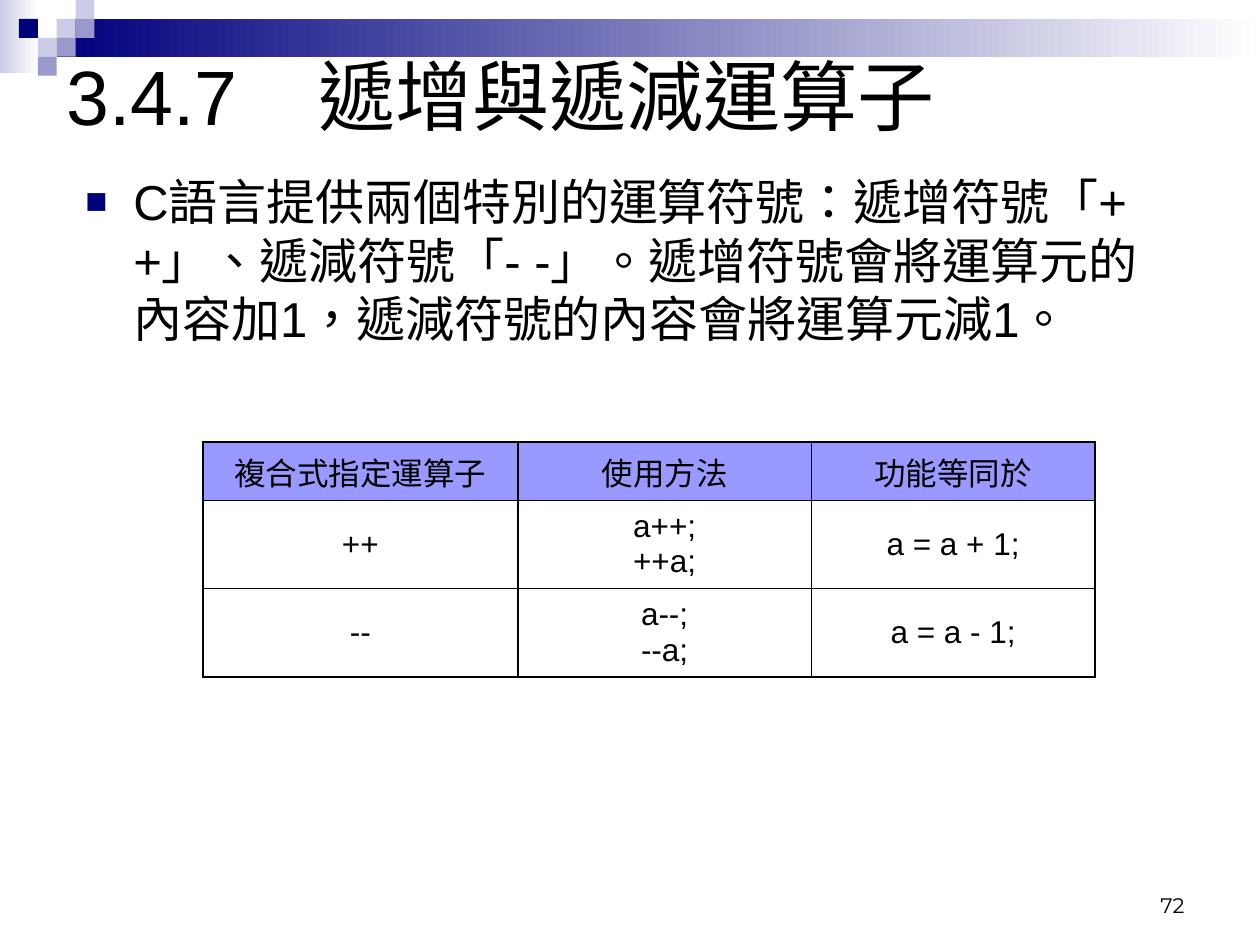
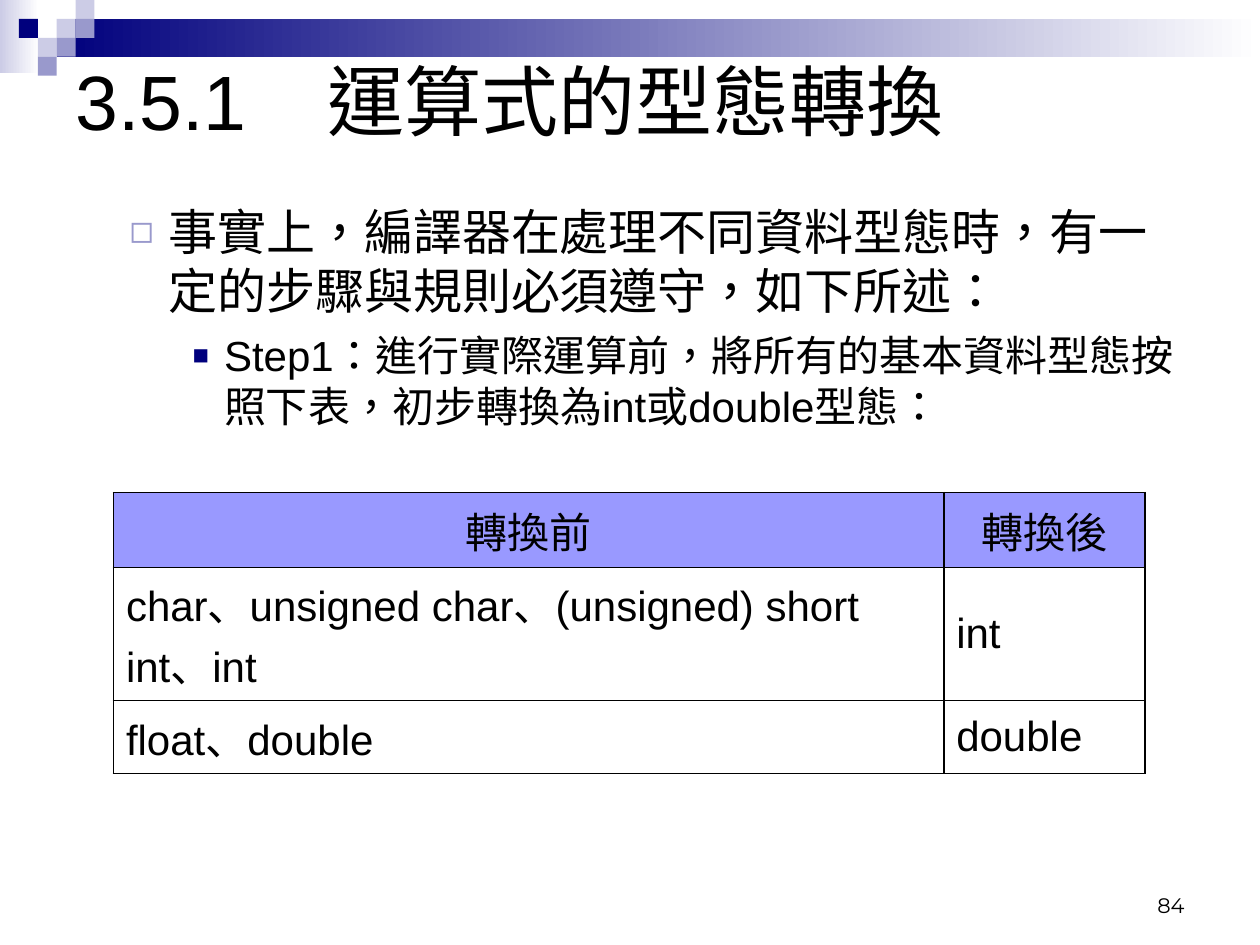
from dataclasses import dataclass

from lxml.etree import SubElement
from pptx import Presentation
from pptx.dml.color import RGBColor as RGB
from pptx.enum.lang import MSO_LANGUAGE_ID as LANG
from pptx.enum.shapes import MSO_SHAPE as SHAPE
from pptx.enum.text import MSO_ANCHOR as ANCHOR, PP_ALIGN as ALIGN
from pptx.oxml.ns import qn
from pptx.util import Inches, Pt


@dataclass(frozen=True)
class Theme:
    navy: str = "00007D"
    lilac: str = "9999CC"
    pale: str = "CCCCE6"
    white: str = "FFFFFF"
    ink: str = "000000"
    header: str = "9999FF"
    font: str = "Arial"
    number_font: str = "Montserrat"
    title: int = 44
    point: int = 28
    step: int = 24
    number: int = 12
    thick: float = 1.08
    thin: float = 0.45


THEME = Theme()
UNIT = 0.15  # side of one mosaic square
TITLE_TAB = 2

# column, row, colour of each mosaic square
MOSAIC = [
    (3, 1, THEME.pale), (4, 0, THEME.pale), (4, 1, THEME.lilac),
    (2, 2, THEME.pale), (1, 1, THEME.navy), (3, 2, THEME.lilac),
    (2, 3, THEME.lilac),
]
# left, top, width, height, colour that fades to white
FADES = [
    (0, 0, 0.31, 0.58, THEME.pale),
    (3 * UNIT, UNIT, 10 - 3 * UNIT, 2 * UNIT, THEME.navy),
]
# size, left margin, hanging indent, bullet, bullet colour, bullet percent
LEVELS = [
    (THEME.point, 0.38, 0.38, "■", THEME.navy, 75),
    (THEME.point, 0.81, 0.31, "◻", THEME.lilac, 80),
    (THEME.step, 1.25, 0.25, "■", THEME.navy, 65),
]

LESSONS = [
    dict(
        title="3.4.7\t遞增與遞減運算子",
        title_at=(0.43, 0, 9, 1.5),
        body_at=(0.58, 1.31, 8.92, 1.81),
        body=[(0, "C語言提供兩個特別的運算符號：遞增符號「++」、遞減符號「- -」。"
                  "遞增符號會將運算元的內容加1，遞減符號的內容會將運算元減1。")],
        table_at=(1.61, 3.51),
        columns=(2.5, 2.33, 2.25),
        rows=(0.46, 0.7, 0.7),
        table_size=18,
        cell_align=ALIGN.CENTER,
        cells=[
            ("複合式指定運算子", "使用方法", "功能等同於"),
            ("++", "a++;\n++a;", "a = a + 1;"),
            ("--", "a--;\n--a;", "a = a - 1;"),
        ],
        number="72",
    ),
    dict(
        title="3.5.1\t運算式的型態轉換",
        title_at=(0.5, 0.33, 8.75, 0.92),
        body_at=(0.43, 1.55, 9, 2.2),
        body=[
            (1, "事實上，編譯器在處理不同資料型態時，有一定的步驟與規則必須遵守，如下所述："),
            (2, "Step1：進行實際運算前，將所有的基本資料型態按照下表，"
                "初步轉換為int或double型態："),
        ],
        table_at=(0.9, 3.91),
        columns=(6.59, 1.6),
        rows=(0.59, 1.06, 0.58),
        table_size=24,
        cell_align=ALIGN.LEFT,
        cells=[
            ("轉換前", "轉換後"),
            ("char、unsigned char、(unsigned) short int、int", "int"),
            ("float、double", "double"),
        ],
        number="84",
    ),
]


def write(paragraph, text, size, align=ALIGN.LEFT, font=THEME.font,
          language=LANG.TRADITIONAL_CHINESE):
    paragraph.text = text
    paragraph.alignment = align
    paragraph.font.size = Pt(size)
    paragraph.font.name = font
    paragraph.font.color.rgb = RGB.from_string(THEME.ink)
    paragraph.font.language_id = language


def add_frame(slide, place, anchor):
    """Add a wrapping text box and return its text frame."""
    frame = slide.shapes.add_textbox(*map(Inches, place)).text_frame
    frame.word_wrap = True
    frame.vertical_anchor = anchor
    return frame


deck = Presentation()
deck.slide_width, deck.slide_height = Inches(10), Inches(7.5)

for lesson in LESSONS:
    slide = deck.slides.add_slide(deck.slide_layouts[6])

    # Top band and mosaic
    squares = [(col * UNIT, row * UNIT, UNIT, UNIT, colour)
               for col, row, colour in MOSAIC]
    for *place, colour in FADES + squares:
        tile = slide.shapes.add_shape(SHAPE.RECTANGLE, *map(Inches, place))
        tile.shadow.inherit = False
        tile.line.fill.background()
        if (*place, colour) in FADES:
            tile.fill.gradient()
            tile.fill.gradient_angle = 0
            for stop, shade in zip(tile.fill.gradient_stops, (colour, THEME.white)):
                stop.color.rgb = RGB.from_string(shade)
        else:
            tile.fill.solid()
            tile.fill.fore_color.rgb = RGB.from_string(colour)

    # Title, with the heading set off by a tab
    heading = add_frame(slide, lesson["title_at"], ANCHOR.MIDDLE).paragraphs[0]
    tabs = SubElement(heading._p.get_or_add_pPr(), qn("a:tabLst"))
    SubElement(tabs, qn("a:tab"), pos=str(Inches(TITLE_TAB)), algn="l")
    write(heading, lesson["title"], THEME.title)

    # Bulleted text
    body = add_frame(slide, lesson["body_at"], ANCHOR.TOP)
    for index, (level, text) in enumerate(lesson["body"]):
        size, margin, hang, bullet, colour, percent = LEVELS[level]
        point = body.add_paragraph() if index else body.paragraphs[0]
        point.level = level
        if index:
            point.space_before = Pt(6)
        props = point._p.get_or_add_pPr()
        props.set("marL", str(Inches(margin)))
        props.set("indent", str(-Inches(hang)))
        SubElement(SubElement(props, qn("a:buClr")), qn("a:srgbClr"), val=colour)
        SubElement(props, qn("a:buSzPct"), val=str(percent * 1000))
        SubElement(props, qn("a:buFont"), typeface=THEME.font)
        SubElement(props, qn("a:buChar"), char=bullet)
        write(point, text, size)

    # Operator or conversion table
    columns, rows = lesson["columns"], lesson["rows"]
    extent = (*lesson["table_at"], sum(columns), sum(rows))
    table = slide.shapes.add_table(len(rows), len(columns), *map(Inches, extent)).table
    table.first_row = table.horz_banding = False
    for column, width in zip(table.columns, columns):
        column.width = Inches(width)
    for row, height in zip(table.rows, rows):
        row.height = Inches(height)
    last = len(rows) - 1
    for r, texts in enumerate(lesson["cells"]):
        for c, text in enumerate(texts):
            cell = table.cell(r, c)
            cell.vertical_anchor = ANCHOR.MIDDLE
            write(cell.text_frame.paragraphs[0], text, lesson["table_size"],
                  lesson["cell_align"] if r else ALIGN.CENTER,
                  language=LANG.ENGLISH_US)
            borders = {
                "a:lnL": THEME.thick,
                "a:lnR": THEME.thick,
                "a:lnT": THEME.thin if r else THEME.thick,
                "a:lnB": THEME.thin if r < last else THEME.thick,
            }
            for side, width in borders.items():
                edge = SubElement(cell._tc.get_or_add_tcPr(), qn(side), w=str(Pt(width)))
                SubElement(SubElement(edge, qn("a:solidFill")), qn("a:srgbClr"),
                           val=THEME.ink)
            if r:
                cell.fill.background()
            else:
                cell.fill.solid()
                cell.fill.fore_color.rgb = RGB.from_string(THEME.header)

    # Page number
    footer = add_frame(slide, (7.17, 6.83, 2.33, 0.5), ANCHOR.BOTTOM)
    write(footer.paragraphs[0], lesson["number"], THEME.number, ALIGN.RIGHT,
          THEME.number_font)

deck.save("out.pptx")
